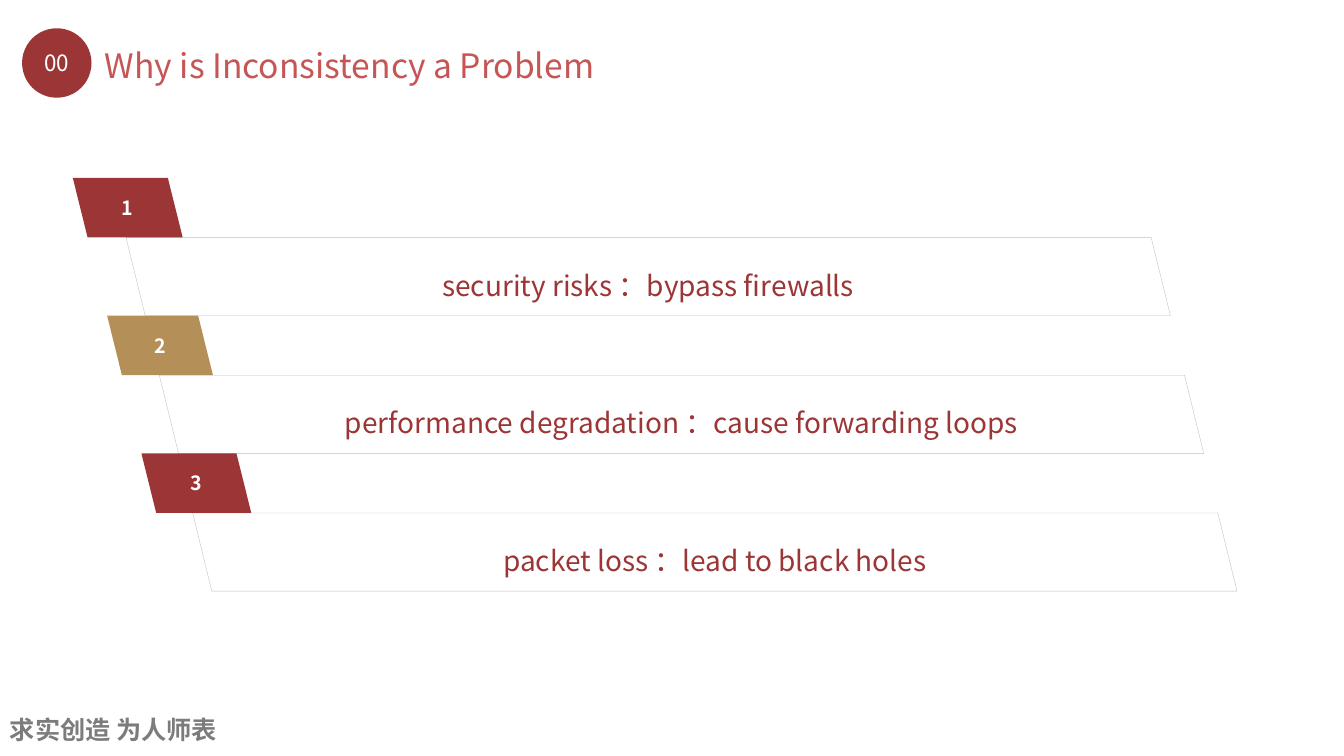
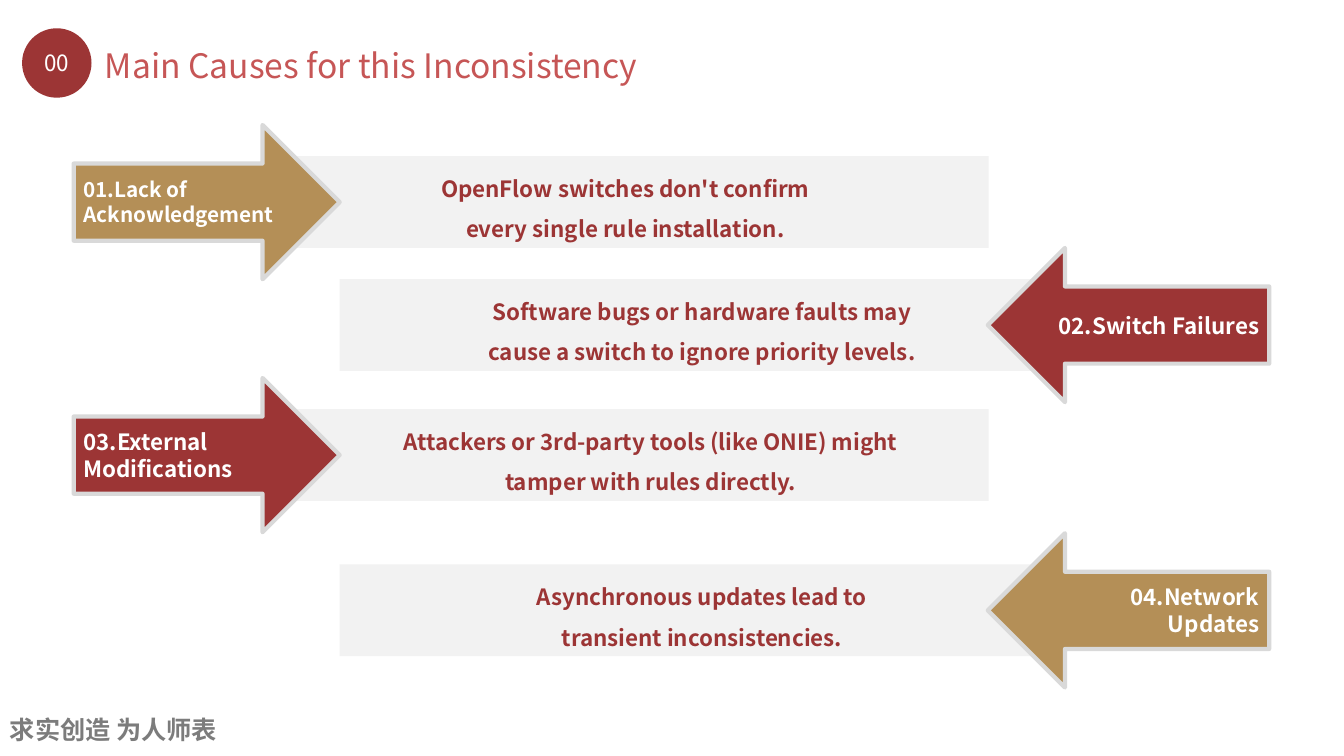
"""Build two slides on rule inconsistency: why it is a problem and its main causes."""
from dataclasses import dataclass

import lxml.etree
import pptx
import pptx.dml.color
import pptx.enum.shapes
import pptx.enum.text
import pptx.oxml.ns
import pptx.util

Pt = pptx.util.Pt
SHAPE = pptx.enum.shapes.MSO_SHAPE
ALIGN = pptx.enum.text.PP_ALIGN
ANCHOR = pptx.enum.text.MSO_ANCHOR


@dataclass(frozen=True)
class Theme:
    font: str = "Noto Sans CJK SC"
    red: str = "9C3535"
    gold: str = "B48F57"
    title: str = "C65656"
    white: str = "FFFFFF"
    motto: str = "7C7C7C"
    band: str = "F2F2F2"
    band_line: str = "BFBFBF"
    arrow_line: str = "D9D9D9"
    title_size: float = 24
    risk_size: float = 20
    motto_size: float = 18
    body_size: float = 16
    long_label_size: float = 14.8
    tab_size: float = 14


theme = Theme()


def paint(sp, fill=None, line=None, width=0):
    sp.shadow.inherit = False
    for part, color in ((sp.fill, fill), (sp.line.fill, line)):
        if color:
            part.solid()
            part.fore_color.rgb = pptx.dml.color.RGBColor.from_string(color)
        else:
            part.background()
    if line:
        sp.line.width = Pt(width)


def write(sp, text, size, color, bold=False, align=ALIGN.CENTER, anchor=ANCHOR.MIDDLE, spacing=None):
    tf = sp.text_frame
    tf.text = text
    tf.word_wrap = True
    tf.vertical_anchor = anchor
    for p in tf.paragraphs:
        p.alignment = align
        p.line_spacing = spacing
        for r in p.runs:
            r.font.size = Pt(size)
            r.font.bold = bold
            r.font.name = theme.font
            r.font.color.rgb = pptx.dml.color.RGBColor.from_string(color)
            ea = lxml.etree.SubElement(r.font._element, pptx.oxml.ns.qn("a:ea"))
            ea.set("typeface", theme.font)


prs = pptx.Presentation()
prs.slide_width, prs.slide_height = Pt(960), Pt(540)

slides = []
for title in ("Why is Inconsistency a Problem", "Main Causes for this Inconsistency"):
    s = prs.slides.add_slide(prs.slide_layouts[6])
    slides.append(s)

    motto = s.shapes.add_textbox(0, Pt(506.9), Pt(204.5), Pt(29))
    write(motto, "求实创造 为人师表", theme.motto_size, theme.motto, True, ALIGN.LEFT, ANCHOR.TOP)

    heading = s.shapes.add_textbox(Pt(70), Pt(28.8), Pt(441), Pt(34.6))
    write(heading, title, theme.title_size, theme.title, False, ALIGN.LEFT, ANCHOR.TOP)
    tf = heading.text_frame
    tf.margin_left = tf.margin_right = Pt(5)
    tf.margin_top = tf.margin_bottom = Pt(3)

    badge = s.shapes.add_shape(SHAPE.OVAL, Pt(15.8), Pt(20.2), Pt(49.6), Pt(49.6))
    paint(badge, theme.red)
    write(badge, "00", theme.body_size, theme.white)

problem, causes = slides

tab_height, panel_height = 42.6, 55.8
risks = (
    ("security risks ：bypass firewalls", theme.red, 78.5),
    ("performance degradation ：cause forwarding loops", theme.gold, 75.6),
    ("packet loss ：lead to black holes", theme.red, 78.5),
)
for i, (risk, color, tab_width) in enumerate(risks):
    top = 127 + i * (tab_height + panel_height)
    tab = (52 + 24.5 * i, top, tab_width, tab_height, 10.6)
    panel = (90 + 23.8 * i, top + tab_height, 746, panel_height, 13.7)
    outlines = []
    for x, y, w, h, slant in (panel, tab):
        fb = problem.shapes.build_freeform(Pt(x), Pt(y))
        corners = ((x + w - slant, y), (x + w, y + h), (x + slant, y + h))
        fb.add_line_segments([(Pt(cx), Pt(cy)) for cx, cy in corners])
        outlines.append(fb.convert_to_shape())
    panel_sp, tab_sp = outlines
    paint(panel_sp, line=theme.band_line, width=0.25)
    write(panel_sp, risk, theme.risk_size, theme.red, spacing=1.5)
    paint(tab_sp, color)
    write(tab_sp, str(i + 1), theme.tab_size, theme.white, True)

band_height, arrow_height = 65.6, 110.2
sides = {
    "left": (SHAPE.RIGHT_ARROW, ALIGN.LEFT, 52.6, 190, 187.2, 519),
    "right": (SHAPE.LEFT_ARROW, ALIGN.RIGHT, 705.6, 201, 242.6, 517.7),
}
cause_rows = (
    ("left", 144.4, theme.gold, "01.Lack of Acknowledgement", theme.long_label_size,
     "OpenFlow switches don't confirm\nevery single rule installation.", 0),
    ("right", 232.2, theme.red, "02.Switch Failures", theme.body_size,
     "Software bugs or hardware faults may\ncause a switch to ignore priority levels.", 0),
    ("left", 325.1, theme.red, "03.External Modifications", theme.body_size,
     "Attackers or 3rd-party tools (like ONIE) might\ntamper with rules directly.", 36),
    ("right", 436, theme.gold, "04.Network Updates", theme.body_size,
     "Asynchronous updates lead to\ntransient inconsistencies.", 0),
)
for side, middle, color, label, label_size, detail, indent in cause_rows:
    arrow_kind, align, arrow_x, arrow_width, band_x, band_width = sides[side]

    band = causes.shapes.add_shape(
        SHAPE.RECTANGLE, Pt(band_x), Pt(middle - band_height / 2), Pt(band_width), Pt(band_height))
    paint(band, theme.band)
    write(band, detail, theme.body_size, theme.red, True, spacing=1.5)
    band.text_frame.margin_left = Pt(7.2 + indent)

    arrow = causes.shapes.add_shape(
        arrow_kind, Pt(arrow_x), Pt(middle - arrow_height / 2), Pt(arrow_width), Pt(arrow_height))
    paint(arrow, color, theme.arrow_line, 3)
    write(arrow, label, label_size, theme.white, True, align)

prs.save("out.pptx")
